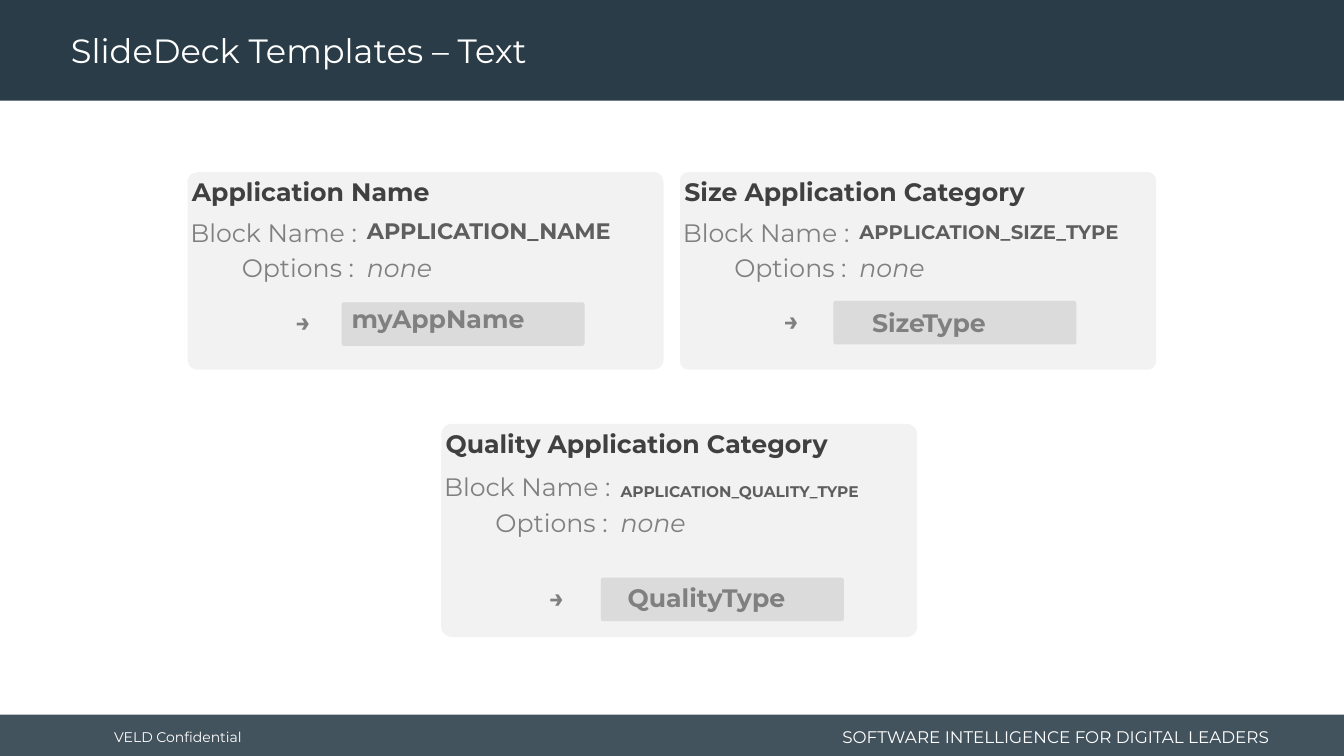
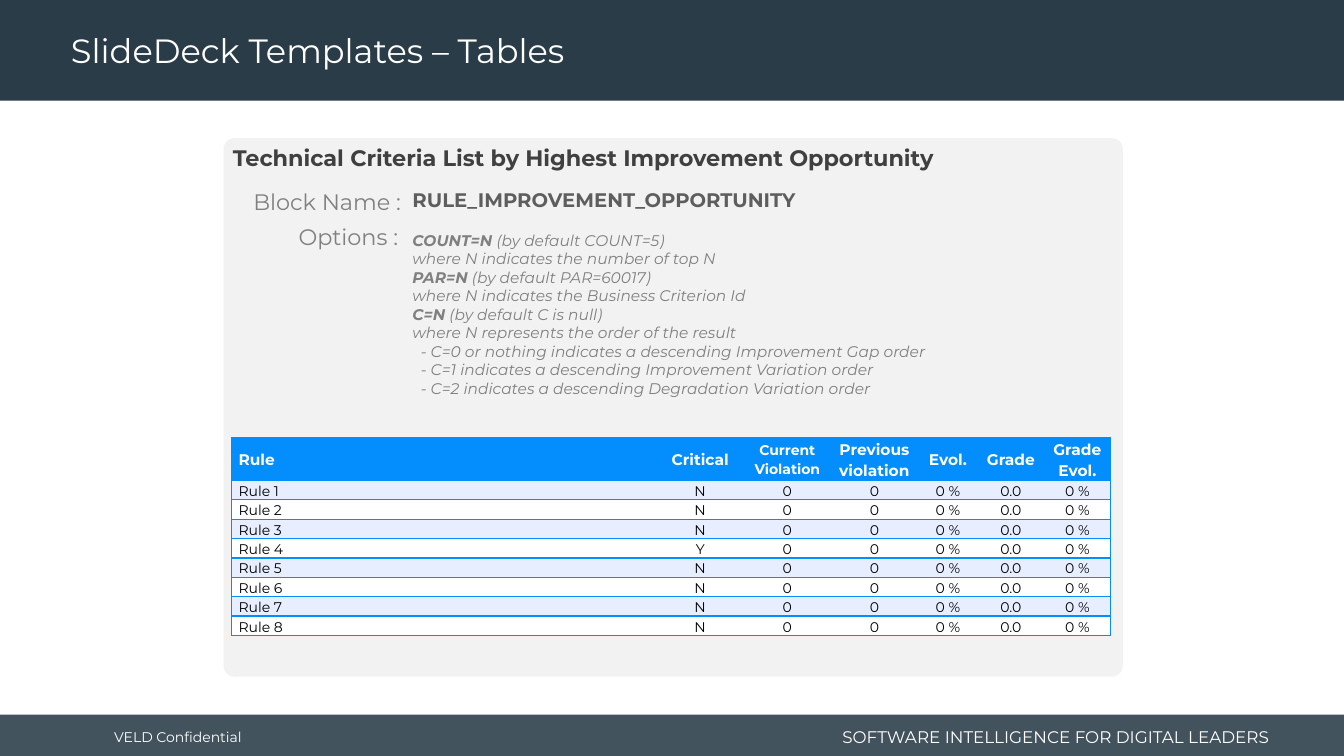
import pptx
import pptx.dml.color
import pptx.enum.shapes
import pptx.enum.text
import pptx.oxml
import pptx.oxml.ns
import pptx.util

Pt = pptx.util.Pt
ALIGN = pptx.enum.text.PP_ALIGN
ANCHOR = pptx.enum.text.MSO_ANCHOR
AUTO_SIZE = pptx.enum.text.MSO_AUTO_SIZE
SHAPE = pptx.enum.shapes.MSO_SHAPE

FONT = "Montserrat"
NAVY = "293C47"
WHITE = "FFFFFF"
BLACK = "000000"
CARD_GRAY = "F2F2F2"
OUTPUT_GRAY = "BFBFBF"
HEADING_GRAY = "404040"
NAME_GRAY = "5E5E5E"
LABEL_GRAY = "808080"
TABLE_BLUE = "048EFD"
BAND_BLUE = "E7EEFF"

SLIDE_WIDTH, SLIDE_HEIGHT = 960, 540
CARD_WIDTH = 340
LABEL_WIDTH = 145

# heading, block name, name size, output, left, top, height, corner,
# then offsets inside the card: label top, name top, arrow, output box, output text
TEXT_CARDS = [
    ("Application Name", "APPLICATION_NAME", 16, "myAppName", 134, 123, 141, 0.05,
     28.5, 28.5, (70, 92.5), (110, 93), (110, 90)),
    ("Size Application Category", "APPLICATION_SIZE_TYPE", 14, "SizeType", 485.8, 123, 141, 0.04,
     28.5, 30.5, (67, 91.5), (109.5, 92), (130, 93)),
    ("Quality Application Category", "APPLICATION_QUALITY_TYPE", 11, "QualityType", 315.2, 302.7, 152.3, 0.05,
     30.5, 38, (70, 110), (114, 110), (126, 110)),
]

# each paragraph: bold part, plain part, left indent
OPTIONS = [
    ("COUNT=N", " (by default COUNT=5)", 0),
    ("", "where N indicates the number of top N", 0),
    ("PAR=N", " (by default PAR=60017)", 0),
    ("", "where N indicates the Business Criterion Id", 0),
    ("C=N", " (by default C is null)", 0),
    ("", "where N represents the order of the result", 0),
    ("", "- C=0 or nothing indicates a descending Improvement Gap order", 6),
    ("", "- C=1 indicates a descending Improvement Variation order", 6),
    ("", "- C=2 indicates a descending Degradation Variation order", 6),
]

TABLE_HEADER = ["Rule", "Critical", "Current Violation", "Previous violation", "Evol.", "Grade", "Grade Evol."]
CRITICAL_FLAGS = "NNNYNNNN"
COLUMN_WIDTHS = [303.5, 62.5, 62, 62.5, 42.5, 47.5, 47.5]
HEADER_HEIGHT, ROW_HEIGHT = 30.8, 13.8


def rgb(color):
    return pptx.dml.color.RGBColor.from_string(color)


def set_values(target, values):
    for name, value in values.items():
        setattr(target, name, value)


def format_font(font, size, color, **values):
    set_values(font, {"name": FONT, "size": Pt(size), **values})
    font.color.rgb = rgb(color)


def add_panel(shapes, kind, left, top, width, height, color, opacity=100, corner=None):
    panel = shapes.add_shape(kind, Pt(left), Pt(top), Pt(width), Pt(height))
    panel.shadow.inherit = False
    panel.line.fill.background()
    panel.fill.solid()
    panel.fill.fore_color.rgb = rgb(color)
    if corner is not None:
        panel.adjustments[0] = corner
    if opacity < 100:
        color_element = panel.element.xpath("./p:spPr/a:solidFill/a:srgbClr")[0]
        alpha = pptx.oxml.parse_xml(f'<a:alpha {pptx.oxml.ns.nsdecls("a")} val="{opacity * 1000}"/>')
        color_element.append(alpha)
    return panel


def add_text(shapes, text, left, top, width, size, color, height=None, align=ALIGN.LEFT,
             frame=None, **font_values):
    """Add a one-line text box; without a height, it takes that of its line."""
    height = height or 1.2 * size + 7.2
    box = shapes.add_textbox(Pt(left), Pt(top), Pt(width), Pt(height))
    set_values(box.text_frame, {"word_wrap": True, **(frame or {})})
    paragraph = box.text_frame.paragraphs[0]
    paragraph.alignment = align
    run = paragraph.add_run()
    run.text = text
    format_font(run.font, size, color, **font_values)
    return box


def add_heading(shapes, text, left, top, width, size):
    margins = {"margin_left": Pt(14.4), "margin_right": Pt(14.4)}
    add_text(shapes, text, left, top, width, size, HEADING_GRAY, frame=margins, bold=True)


def add_label(shapes, text, right, top, size):
    add_text(shapes, text, right - LABEL_WIDTH, top, LABEL_WIDTH, size, LABEL_GRAY, align=ALIGN.RIGHT)


def move_to_layout(shape, layout, position):
    """Put a shape behind the layout's placeholders, so that every slide shows it."""
    shape.element.xpath(".//p:cNvPr")[0].set("id", str(100 + position))
    layout.shapes.element.insert(2 + position, shape.element)


def add_shared_parts(slide):
    shapes = slide.shapes
    middle = {"vertical_anchor": ANCHOR.MIDDLE}
    parts = [
        add_panel(shapes, SHAPE.RECTANGLE, 0, 510.5, SLIDE_WIDTH, 31.5, NAVY, opacity=88),
        add_panel(shapes, SHAPE.RECTANGLE, 0, 0, SLIDE_WIDTH, 72, NAVY),
        add_text(shapes, "VELD Confidential", 74.5, 512, 110, 10, WHITE, height=29, frame=middle),
        add_text(shapes, "SOFTWARE INTELLIGENCE FOR DIGITAL LEADERS", 583.7, 515, 330, 12, WHITE,
                 height=23, align=ALIGN.RIGHT, frame=middle),
    ]
    for position, part in enumerate(parts):
        move_to_layout(part, slide.slide_layout, position)


def add_slide(presentation, text):
    slide = presentation.slides.add_slide(presentation.slide_layouts[5])
    title = slide.shapes.title
    set_values(title, {"left": Pt(43.5), "top": Pt(3), "width": Pt(690), "height": Pt(69)})
    title.text = text
    set_values(title.text_frame, {"vertical_anchor": ANCHOR.MIDDLE, "auto_size": AUTO_SIZE.NONE})
    paragraph = title.text_frame.paragraphs[0]
    set_values(paragraph, {"alignment": ALIGN.LEFT, "line_spacing": 0.9})
    format_font(paragraph.runs[0].font, 24, WHITE)
    return slide


def add_text_card(slide, heading, name, name_size, output, left, top, height, corner,
                  label_top, name_top, arrow, output_box, output_text):
    shapes = slide.shapes.add_group_shape().shapes
    value_left, label_right = left + 121, left + 128
    options_top = top + label_top + 25.3
    add_panel(shapes, SHAPE.ROUNDED_RECTANGLE, left, top, CARD_WIDTH, height, CARD_GRAY, corner=corner)
    add_heading(shapes, heading, left - 11.3, top - 0.5, CARD_WIDTH, 18)
    add_text(shapes, name, value_left, top + name_top, 218, name_size, NAME_GRAY, bold=True)
    add_text(shapes, "→", left + arrow[0], top + arrow[1], 34.5, 18, LABEL_GRAY, bold=True)
    add_label(shapes, "Block Name :", label_right, top + label_top, 18)
    add_text(shapes, "none", value_left, options_top, 218, 18, LABEL_GRAY, italic=True)
    add_label(shapes, "Options :", label_right - 2, options_top, 18)
    add_panel(shapes, SHAPE.ROUNDED_RECTANGLE, left + output_box[0], top + output_box[1], 173.5, 31,
              OUTPUT_GRAY, opacity=45, corner=0.05)
    add_text(shapes, output, left + output_text[0], top + output_text[1], 215, 18, LABEL_GRAY, bold=True)


def add_options(shapes, left, top, width, height):
    box = shapes.add_textbox(Pt(left), Pt(top), Pt(width), Pt(height))
    frame = box.text_frame
    frame.word_wrap = True
    for index, (keyword, description, indent) in enumerate(OPTIONS):
        paragraph = frame.add_paragraph() if index else frame.paragraphs[0]
        if indent:
            paragraph._p.get_or_add_pPr().set("marL", str(Pt(indent)))
        for text, bold in ((keyword, True), (description, False)):
            if text:
                run = paragraph.add_run()
                run.text = text
                format_font(run.font, 11, LABEL_GRAY, bold=bold, italic=True)


def add_criteria_card(slide):
    shapes = slide.shapes.add_group_shape().shapes
    value_left, label_right = 287.5, 293.5
    add_panel(shapes, SHAPE.ROUNDED_RECTANGLE, 159.7, 98.7, 642.3, 384.6, CARD_GRAY, corner=0.02)
    add_heading(shapes, "Technical Criteria List by Highest Improvement Opportunity", 152, 99.5, 641.5, 16)
    add_text(shapes, "RULE_IMPROVEMENT_OPPORTUNITY", value_left, 131, 522, 14, NAME_GRAY, bold=True)
    add_label(shapes, "Block Name :", label_right, 131, 16)
    add_options(shapes, value_left, 161.4, 522, 127.5)
    add_label(shapes, "Options :", label_right - 2, 156, 16)


def set_borders(cell, visible):
    """Draw the sides named in visible (of L, R, T, B) and hide the others."""
    properties = cell._tc.get_or_add_tcPr()
    for side in "LRTB":
        fill = f'<a:solidFill><a:srgbClr val="{TABLE_BLUE}"/></a:solidFill>' if side in visible else "<a:noFill/>"
        properties.append(pptx.oxml.parse_xml(
            f'<a:ln{side} {pptx.oxml.ns.nsdecls("a")} w="{Pt(1)}">{fill}</a:ln{side}>'))


def format_cell(cell, text, row, column):
    header = row == 0
    sides = "TB" + ("L" if column == 0 else "") + ("R" if column == len(COLUMN_WIDTHS) - 1 else "")
    set_borders(cell, sides)
    cell.fill.solid()
    cell.fill.fore_color.rgb = rgb(TABLE_BLUE if header else BAND_BLUE if row % 2 else WHITE)
    set_values(cell, {
        "margin_left": Pt(5), "margin_right": Pt(5), "margin_top": 0, "margin_bottom": 0,
        "vertical_anchor": ANCHOR.MIDDLE if header else ANCHOR.TOP,
    })
    paragraph = cell.text_frame.paragraphs[0]
    set_values(paragraph, {"alignment": ALIGN.CENTER if column else ALIGN.LEFT, "line_spacing": 1.15})
    run = paragraph.add_run()
    run.text = text
    size = 11 if header and text != "Current Violation" else 10
    format_font(run.font, size, WHITE if header else BLACK, bold=header)


def add_rule_table(slide):
    rows = [TABLE_HEADER] + [
        [f"Rule {number}", flag, "0", "0", "0 %", "0.0", "0 %"]
        for number, flag in enumerate(CRITICAL_FLAGS, start=1)
    ]
    heights = [HEADER_HEIGHT] + [ROW_HEIGHT] * len(CRITICAL_FLAGS)
    table = slide.shapes.add_table(len(rows), len(COLUMN_WIDTHS), Pt(165.4), Pt(312.4),
                                   Pt(sum(COLUMN_WIDTHS)), Pt(sum(heights))).table
    for column, width in zip(table.columns, COLUMN_WIDTHS):
        column.width = Pt(width)
    for row, height in zip(table.rows, heights):
        row.height = Pt(height)
    for row, texts in enumerate(rows):
        for column, text in enumerate(texts):
            format_cell(table.cell(row, column), text, row, column)


def main():
    presentation = pptx.Presentation()
    set_values(presentation, {"slide_width": Pt(SLIDE_WIDTH), "slide_height": Pt(SLIDE_HEIGHT)})

    text_slide = add_slide(presentation, "SlideDeck Templates – Text")
    add_shared_parts(text_slide)
    for card in TEXT_CARDS:
        add_text_card(text_slide, *card)

    table_slide = add_slide(presentation, "SlideDeck Templates – Tables")
    add_criteria_card(table_slide)
    add_rule_table(table_slide)

    presentation.save("out.pptx")


if __name__ == "__main__":
    main()
